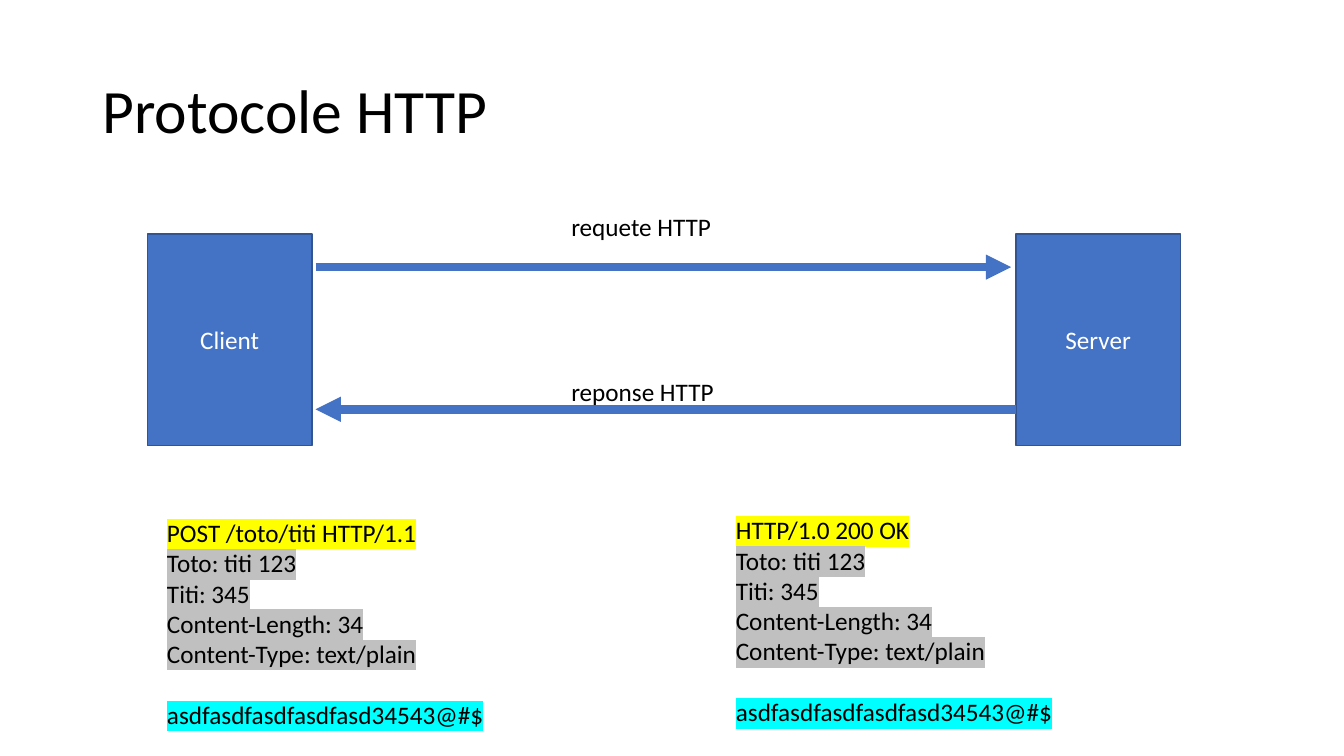
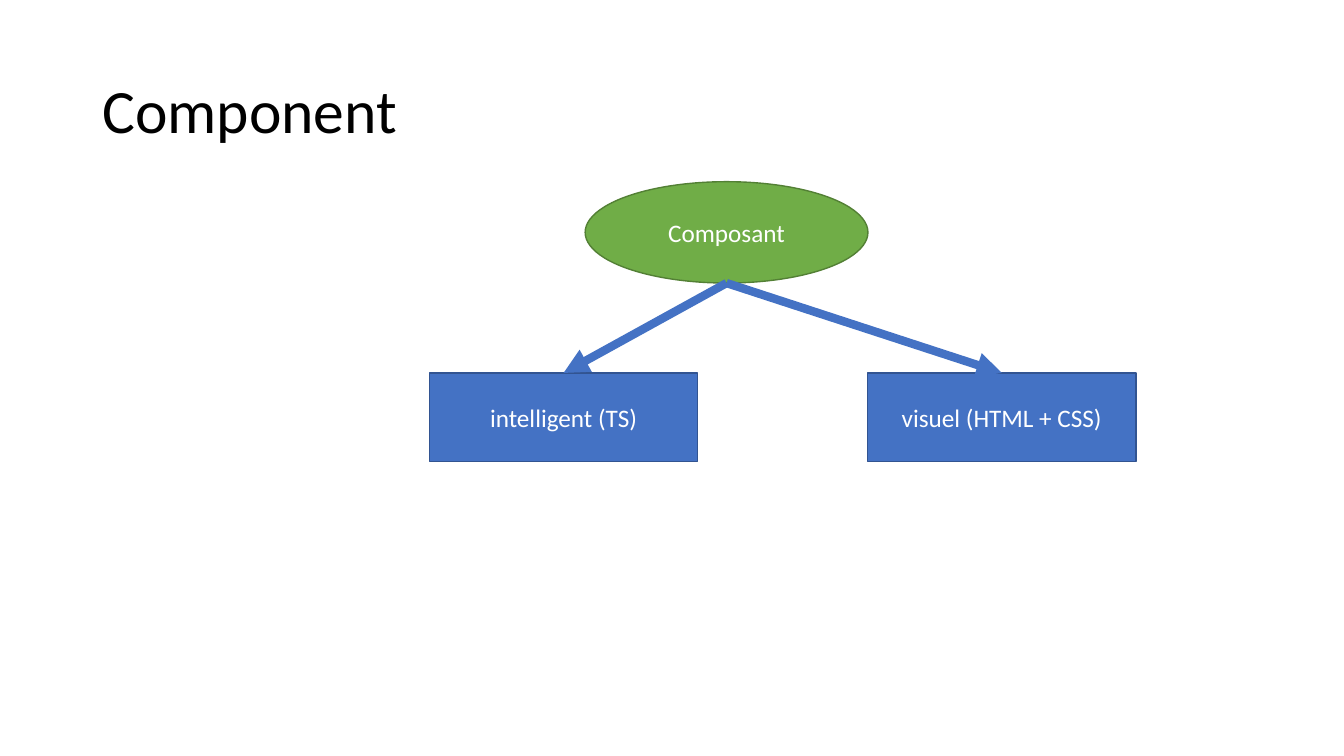
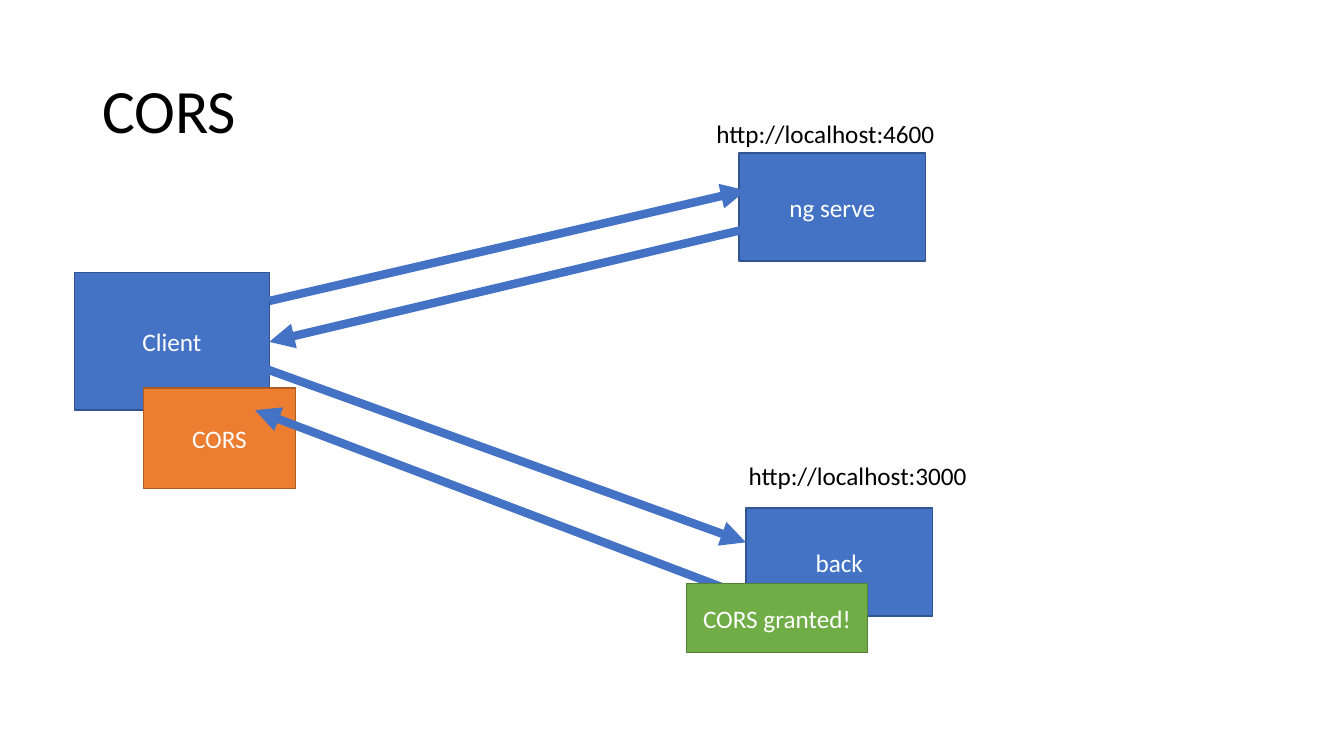
from lxml import etree
from pptx import Presentation
from pptx.dml.color import RGBColor
from pptx.enum.shapes import MSO_CONNECTOR, MSO_SHAPE
from pptx.enum.text import MSO_ANCHOR, MSO_AUTO_SIZE, PP_ALIGN
from pptx.oxml.ns import qn
from pptx.util import Pt

RECTANGLE, OVAL = MSO_SHAPE.RECTANGLE, MSO_SHAPE.OVAL
STRAIGHT = MSO_CONNECTOR.STRAIGHT
MIDDLE = MSO_ANCHOR.MIDDLE
FIT_SHAPE = MSO_AUTO_SIZE.SHAPE_TO_FIT_TEXT
CENTER = PP_ALIGN.CENTER

BLACK = RGBColor(0x00, 0x00, 0x00)
WHITE = RGBColor(0xFF, 0xFF, 0xFF)
ARROW_BLUE = RGBColor(0x44, 0x72, 0xC4)
YELLOW = RGBColor(0xFF, 0xFF, 0x00)
GRAY = RGBColor(0xC0, 0xC0, 0xC0)
CYAN = RGBColor(0x00, 0xFF, 0xFF)

# Each pair is a fill and its outline.
BLUE = (ARROW_BLUE, RGBColor(0x32, 0x54, 0x91))
GREEN = (RGBColor(0x70, 0xAD, 0x47), RGBColor(0x53, 0x80, 0x35))
ORANGE = (RGBColor(0xED, 0x7D, 0x31), RGBColor(0xAF, 0x5C, 0x24))


class Deck:
    """Holds the shared style and the current slide; lengths are in points."""

    font_name = "Calibri"
    title_size = 44
    body_size = 18
    line_height = 22

    def __init__(self):
        self.presentation = Presentation()
        self.presentation.slide_width = Pt(960)
        self.presentation.slide_height = Pt(540)
        self.slide = None

    def new_slide(self, title):
        blank = self.presentation.slide_layouts[6]
        self.slide = self.presentation.slides.add_slide(blank)
        frame = self.text_frame(66, 29, 828, 104.4)
        frame.word_wrap = True
        frame.vertical_anchor = MIDDLE
        heading = frame.paragraphs[0]
        heading.line_spacing = 0.9
        self.add_text(heading, title, self.title_size)

    def text_frame(self, left, top, width, height):
        box = self.slide.shapes.add_textbox(
            Pt(left), Pt(top), Pt(width), Pt(height))
        return box.text_frame

    def fitted_frame(self, left, top, width, height):
        """Add a text box that grows with its unwrapped text."""
        frame = self.text_frame(left, top, width, height)
        frame.word_wrap = False
        frame.auto_size = FIT_SHAPE
        return frame

    def add_text(self, paragraph, text, size=body_size, color=BLACK):
        run = paragraph.add_run()
        run.text = text
        paragraph.font.name = self.font_name
        paragraph.font.size = Pt(size)
        paragraph.font.color.rgb = color
        return run

    def label(self, text, left, top, width):
        frame = self.fitted_frame(left, top, width, 29)
        self.add_text(frame.paragraphs[0], text)

    def message(self, start_line, headers, body, left, top):
        """Show an HTTP message with each of its parts highlighted."""
        frame = self.fitted_frame(left, top, 243, 160)
        lines = [(start_line, YELLOW)]
        lines += [(header, GRAY) for header in headers]
        lines.append((body, CYAN))
        for index, (text, color) in enumerate(lines):
            paragraph = frame.add_paragraph() if index else frame.paragraphs[0]
            self.highlight(self.add_text(paragraph, text), color)
        paragraph.space_before = Pt(self.line_height)

    def highlight(self, run, color):
        marker = etree.SubElement(run._r.get_or_add_rPr(), qn("a:highlight"))
        etree.SubElement(marker, qn("a:srgbClr"), val=str(color))

    def node(self, text, left, top, width, height, colors=BLUE, outline=RECTANGLE):
        """Draw a filled shape with a centred caption."""
        shape = self.slide.shapes.add_shape(
            outline, Pt(left), Pt(top), Pt(width), Pt(height))
        shape.shadow.inherit = False
        shape.fill.solid()
        shape.fill.fore_color.rgb, shape.line.color.rgb = colors
        shape.line.width = Pt(1)
        frame = shape.text_frame
        frame.word_wrap = True
        frame.vertical_anchor = MIDDLE
        caption = frame.paragraphs[0]
        caption.alignment = CENTER
        self.add_text(caption, text, color=WHITE)

    def arrow(self, start, end):
        connector = self.slide.shapes.add_connector(
            STRAIGHT, *(Pt(value) for value in (*start, *end)))
        connector.line.color.rgb = ARROW_BLUE
        connector.line.width = Pt(6)
        properties = connector._element.spPr
        etree.SubElement(properties.find(qn("a:ln")), qn("a:tailEnd"), type="triangle")
        etree.SubElement(properties, qn("a:effectLst"))


def http_slide(deck):
    deck.new_slide("Protocole HTTP")
    for name, left in (("Client", 105.2), ("Server", 725.6)):
        deck.node(name, left, 167.2, 117.6, 151.2)
    deck.arrow((225.4, 190.8), (722.2, 190.8))
    deck.label("requete HTTP", 401, 147.6, 116)
    deck.arrow((725.6, 292.4), (225.4, 292.4))
    deck.label("reponse HTTP", 401, 265, 117.4)

    headers = ("Toto: titi 123", "Titi: 345",
               "Content-Length: 34", "Content-Type: text/plain")
    for start_line, left, top in (("POST /toto/titi HTTP/1.1", 112.2, 366),
                                  ("HTTP/1.0 200 OK", 518.5, 364.2)):
        deck.message(start_line, headers, "asdfasdfasdfasdfasd34543@#$", left, top)


def component_slide(deck):
    deck.new_slide("Component")
    deck.node("Composant", 418, 129.8, 202, 72.4, GREEN, OVAL)
    part_top, part_width = 266.4, 191.6
    for part, left in (("intelligent (TS)", 306.8), ("visuel (HTML + CSS)", 619.8)):
        deck.node(part, left, part_top, part_width, 63.2)
        deck.arrow((519, 202.2), (left + part_width / 2, part_top))


def cors_slide(deck):
    deck.new_slide("CORS")
    deck.node("Client", 53, 194.8, 139.6, 98.2)
    server_size = (133.4, 77.2)
    deck.node("ng serve", 527.8, 109.4, *server_size)
    deck.label("http://localhost:4600", 504.6, 81, 173)
    deck.node("back", 532.8, 362.8, *server_size)
    deck.label("http://localhost:3000", 527.6, 325.6, 173)
    deck.arrow((192.4, 215), (532.8, 136))
    deck.arrow((532.8, 163.6), (192.4, 244.2))
    deck.arrow((188, 262.8), (532.8, 387.4))
    deck.node("CORS", 102.4, 277.2, 108.8, 71.8, ORANGE)
    deck.arrow((527.8, 424), (182.2, 293))
    deck.node("CORS granted!", 490.2, 417, 129.6, 49.2, GREEN)


def main():
    deck = Deck()
    http_slide(deck)
    component_slide(deck)
    cors_slide(deck)
    deck.presentation.save("out.pptx")


if __name__ == "__main__":
    main()
